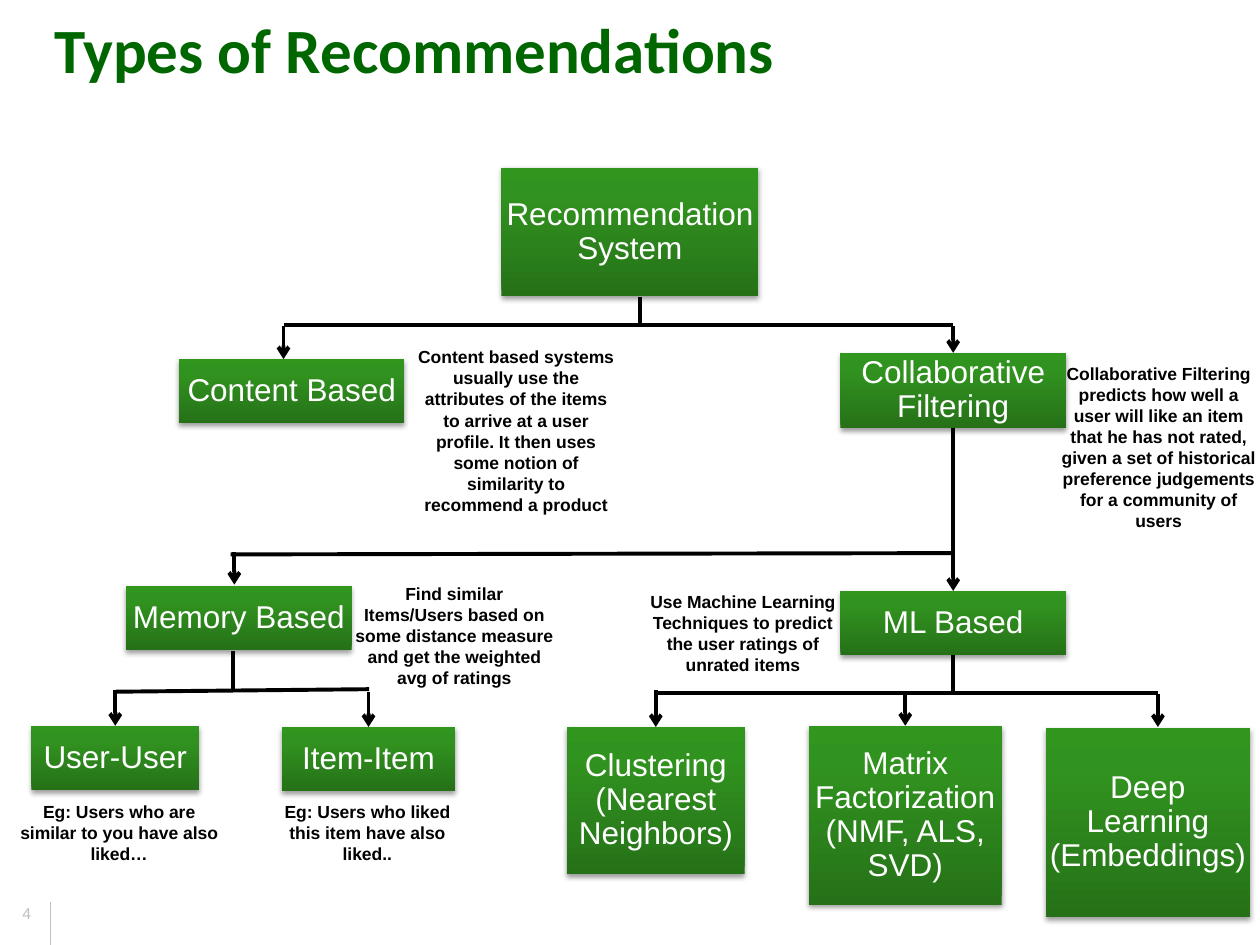
from copy import deepcopy

from lxml import etree
from pptx import Presentation
from pptx import util as u
from pptx.dml.color import RGBColor
from pptx.enum import shapes, text
from pptx.oxml.ns import qn

COLS, ROWS = 100, 75
TOP, BOTTOM = 0, 2


def rgb(value):
    return RGBColor.from_string(value)


class Diagram:
    font, title_font = "Arial", "Calibri"
    black, white, grey, green = "000000", "FFFFFF", "BFBFBF", "006600"
    gradient = [(0, "267118"), (0.8, "31931F"), (1, "30961D")]

    def __init__(self, prs):
        self.s = prs.slides.add_slide(prs.slide_layouts[5])
        self.col, self.row = prs.slide_width / COLS, prs.slide_height / ROWS

    def place(self, x, y, w, h):
        """Turn grid columns and rows into slide lengths."""
        return [round(n * unit) for n, unit in
                zip((x, y, w, h), (self.col, self.row) * 2)]

    def add_text(self, tf, words, size, color, bold=False, font=None,
                 align=text.PP_ALIGN.LEFT, anchor=text.MSO_ANCHOR.TOP):
        tf.word_wrap, tf.vertical_anchor = True, anchor
        p = tf.paragraphs[0]
        p.alignment = align
        r = p.add_run()
        r.text = words
        r.font.name, r.font.size = font or self.font, u.Pt(size)
        r.font.bold, r.font.color.rgb = bold, rgb(color)
        return p

    def title(self, words, *area):
        sp = self.s.shapes.title
        sp.left, sp.top, sp.width, sp.height = self.place(*area)
        sp.text_frame.margin_top = u.Inches(0.08)
        self.add_text(sp.text_frame, words, 36, self.green, True,
                      self.title_font)

    def page_number(self, words, *area):
        sp = self.s.shapes.add_textbox(*self.place(*area))
        self.add_text(sp.text_frame, words, 9, self.grey,
                      anchor=text.MSO_ANCHOR.BOTTOM)

    def note(self, words, x, y, h, w=17.9):
        sp = self.s.shapes.add_textbox(*self.place(x, y, w, h))
        self.add_text(sp.text_frame, words, 10, self.black, True,
                      align=text.PP_ALIGN.CENTER)

    def box(self, words, x, y, w=17.9, h=5.1):
        sp = self.s.shapes.add_shape(shapes.MSO_SHAPE.RECTANGLE,
                                     *self.place(x, y, w, h))
        sp.line.fill.background()
        self.shade(sp)
        self.cast_shadow(sp)
        tf = sp.text_frame
        tf.margin_left = tf.margin_right = u.Inches(0.01)
        tf.margin_top = tf.margin_bottom = u.Inches(0.01)
        p = self.add_text(tf, words, 18, self.white,
                          align=text.PP_ALIGN.CENTER,
                          anchor=text.MSO_ANCHOR.MIDDLE)
        p.line_spacing = 0.9
        return sp

    def shade(self, sp):
        sp.fill.gradient()
        sp.fill.gradient_angle = 90
        stops = sp._element.spPr.find(".//" + qn("a:gsLst"))
        stops.append(deepcopy(stops[0]))
        for stop, (position, color) in zip(sp.fill.gradient_stops,
                                           self.gradient):
            stop.position, stop.color.rgb = position, rgb(color)

    def cast_shadow(self, sp):
        sp.shadow.inherit = False
        effects = sp._element.spPr.find(qn("a:effectLst"))
        outer = etree.SubElement(
            effects, qn("a:outerShdw"), blurRad=str(int(u.Pt(3.1))),
            dist=str(int(u.Pt(1.6))), dir="5400000", rotWithShape="0")
        color = etree.SubElement(outer, qn("a:srgbClr"), val=self.black)
        etree.SubElement(color, qn("a:alpha"), val="38000")

    def line(self, x1, y1, x2, y2, arrow=False, start=None, end=None,
             color=black, width=2.25):
        """Draw a line; start and end are boxes to join below and above."""
        cx = self.s.shapes.add_connector(shapes.MSO_CONNECTOR.STRAIGHT,
                                         *self.place(x1, y1, x2, y2))
        cx.line.color.rgb, cx.line.width = rgb(color), u.Pt(width)
        if arrow:
            etree.SubElement(cx._element.spPr.find(qn("a:ln")),
                             qn("a:tailEnd"), type="arrow")
        etree.SubElement(cx._element.spPr, qn("a:effectLst"))
        if start is not None:
            cx.begin_connect(start, BOTTOM)
        if end is not None:
            cx.end_connect(end, TOP)

    def arrow(self, x, y1, y2, end=None):
        self.line(x, y1, x, y2, arrow=True, end=end)


def main():
    prs = Presentation()
    prs.slide_width, prs.slide_height = u.Inches(10), u.Inches(7.5)
    d = Diagram(prs)

    d.line(4, 75, 4, 71.6, color=d.grey, width=0.5)
    d.page_number("4", 0.8, 68.5, 3.5, 5.2)
    d.title("Types of Recommendations", 3.3, 0, 93.4, 10.8)

    d.box("Recommendation System", 39.8, 13.3, 20.4, 10.2)
    d.box("Content Based", 14.2, 28.5)
    collaborative = d.box("Collaborative Filtering", 66.7, 28, h=6)
    d.box("Memory Based", 10, 46.5)
    ml = d.box("ML Based", 66.7, 46.9)
    user = d.box("User-User", 2.5, 57.6, 13.3)
    item = d.box("Item-Item", 22.4, 57.7, 13.7)
    clustering = d.box("Clustering (Nearest Neighbors)", 45, 57.7, 14.1, 11.7)
    matrix = d.box("Matrix Factorization (NMF, ALS, SVD)",
                   64.2, 57.6, 15.3, 14.2)
    d.box("Deep Learning (Embeddings)", 83, 57.8, 16.2, 15)

    # Recommendation system to its two approaches
    d.line(50.8, 23.6, 50.8, 25.8)
    d.line(75.6, 25.8, 22.5, 25.8)
    d.arrow(22.5, 25.9, 28.5)
    d.arrow(75.65, 25.9, 28, collaborative)

    # Collaborative filtering to memory and ML
    d.line(75.65, 34, 75.65, 43.9, start=collaborative)
    d.line(75.6, 43.9, 18.3, 44)
    d.arrow(18.6, 43.8, 46.4)
    d.arrow(75.65, 43.9, 46.9, ml)

    # Memory based to user and item
    d.line(18.5, 51.7, 18.5, 54.7)
    d.line(29.3, 54.7, 9.2, 54.9)
    d.arrow(9.15, 54.8, 57.6, user)
    d.arrow(29.25, 54.9, 57.7, item)

    # ML based to its three techniques
    d.line(75.65, 52, 75.65, 54.9, start=ml)
    d.line(91.9, 55, 52.1, 55)
    d.arrow(52.05, 54.8, 57.7, clustering)
    d.arrow(71.85, 55.2, 57.6, matrix)
    d.arrow(91.9, 55.1, 57.7)

    d.note("Content based systems usually use the attributes of the items "
           "to arrive at a user profile. It then uses some notion of "
           "similarity to recommend a product", 32, 27, 14.5)
    d.note("Collaborative Filtering predicts how well a user will like an "
           "item that he has not rated, given a set of historical "
           "preference judgements for a community of users", 83, 28.3, 14.5)
    d.note("Find similar Items/Users based on some distance measure and "
           "get the weighted avg of ratings", 27.1, 45.8, 9.4)
    d.note("Use Machine Learning Techniques to predict the user ratings of "
           "unrated items", 50, 46.4, 7.7)
    d.note("Eg: Users who are similar to you have also liked…",
           0.5, 63.1, 6.1)
    d.note("Eg: Users who liked this item have also liked..",
           20.2, 63.1, 6.1)

    prs.save("out.pptx")


if __name__ == "__main__":
    main()
